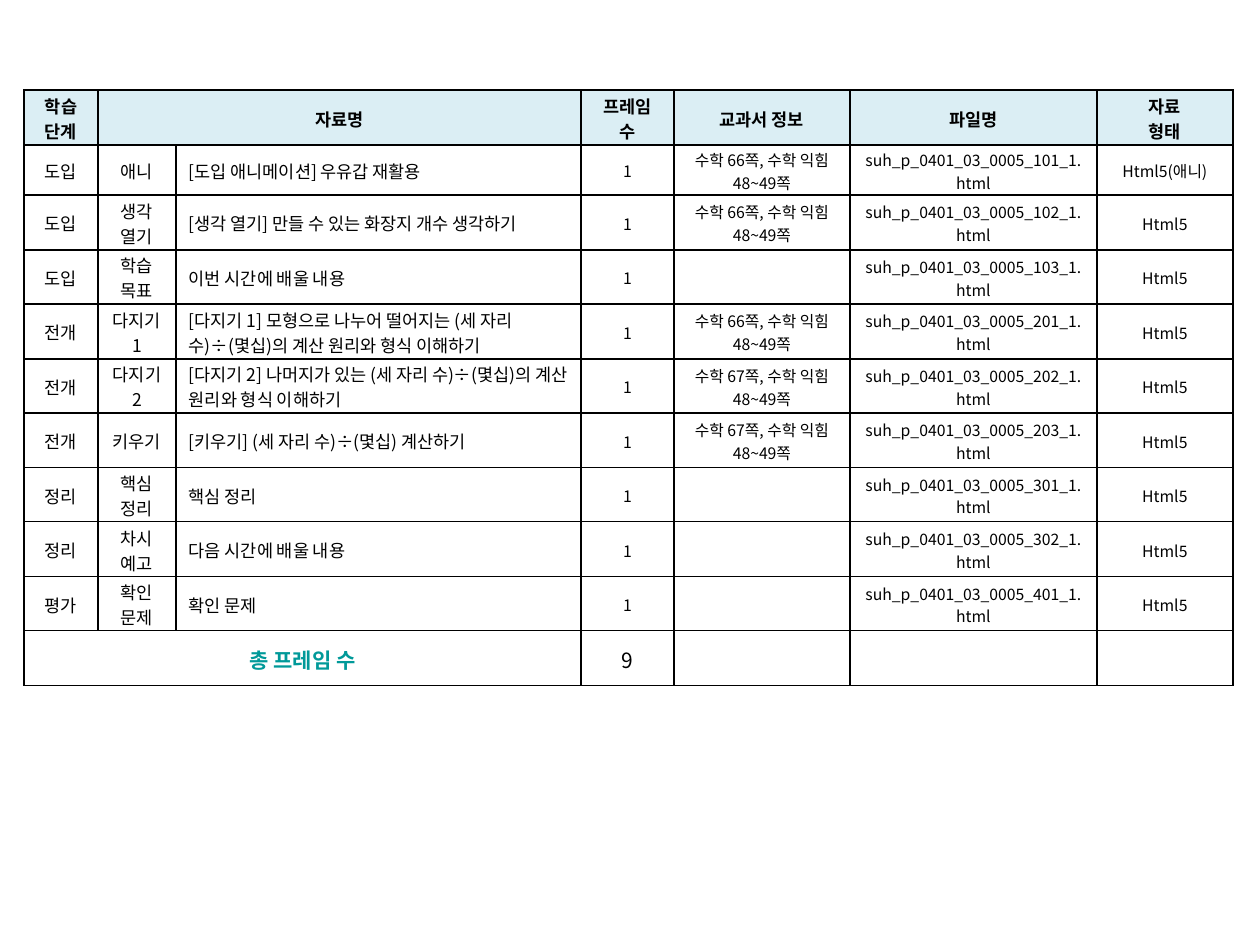
from typing import NamedTuple

from lxml.etree import SubElement
from pptx import Presentation
from pptx.dml.color import RGBColor
from pptx.enum.text import MSO_ANCHOR, PP_ALIGN
from pptx.oxml.ns import qn
from pptx.util import Pt

PX = 914400 // 126
FONT = "Noto Sans CJK KR"
BLACK, TEAL, PALE = "000000", "009999", "DBEEF4"
COLS = [74, 78, 405, 93, 176, 247, 136]
PADS = {"margin_left": 13, "margin_right": 13, "margin_top": 2, "margin_bottom": 0}


class Style(NamedTuple):
    size: int
    bold: bool = False
    ink: str = BLACK
    fill: str = ""
    align: PP_ALIGN = PP_ALIGN.CENTER


class Lesson(NamedTuple):
    step: str
    topic: str
    title: str
    pages: str
    number: str
    kind: str = "Html5"


HEAD = Style(10, bold=True, fill=PALE)
BODY, SMALL = Style(10), Style(9)
LEFT = Style(10, align=PP_ALIGN.LEFT)
TOTAL, COUNT = Style(12, bold=True, ink=TEAL), Style(12)

P66 = "수학 66쪽, 수학 익힘 48~49쪽"
P67 = "수학 67쪽, 수학 익힘 48~49쪽"
HEADS = ["학습 단계", "자료명", "", "프레임 수", "교과서 정보", "파일명", "자료\n형태"]
LESSONS = [
    Lesson("도입", "애니", "[도입 애니메이션] 우유갑 재활용", P66, "101", "Html5(애니)"),
    Lesson("도입", "생각 열기", "[생각 열기] 만들 수 있는 화장지 개수 생각하기", P66, "102"),
    Lesson("도입", "학습 목표", "이번 시간에 배울 내용", "", "103"),
    Lesson("전개", "다지기1",
           "[다지기 1] 모형으로 나누어 떨어지는 (세 자리 수)÷(몇십)의 계산 원리와 형식 이해하기",
           P66, "201"),
    Lesson("전개", "다지기 2",
           "[다지기 2] 나머지가 있는 (세 자리 수)÷(몇십)의 계산 원리와 형식 이해하기",
           P67, "202"),
    Lesson("전개", "키우기", "[키우기] (세 자리 수)÷(몇십) 계산하기", P67, "203"),
    Lesson("정리", "핵심 정리", "핵심 정리", "", "301"),
    Lesson("정리", "차시 예고", "다음 시간에 배울 내용", "", "302"),
    Lesson("평가", "확인 문제", "확인 문제", "", "401"),
]


def color(code: str) -> RGBColor:
    return RGBColor.from_string(code)


def border(cell) -> None:
    props = cell._tc.get_or_add_tcPr()
    for side in ("lnL", "lnR", "lnT", "lnB"):
        line = SubElement(props, qn(f"a:{side}"), w=str(Pt(1)))
        fill = SubElement(line, qn("a:solidFill"))
        SubElement(fill, qn("a:srgbClr"), val=BLACK)


def write(cell, text: str, style: Style) -> None:
    border(cell)
    for key, pad in PADS.items():
        setattr(cell, key, pad * PX)
    cell.vertical_anchor = MSO_ANCHOR.MIDDLE
    if style.fill:
        cell.fill.solid()
        cell.fill.fore_color.rgb = color(style.fill)
    else:
        cell.fill.background()
    cell.text = text
    looks = {"size": Pt(style.size), "bold": style.bold, "name": FONT}
    for para in cell.text_frame.paragraphs:
        para.alignment = style.align
        for run in para.runs:
            for key, value in looks.items():
                setattr(run.font, key, value)
            run.font.color.rgb = color(style.ink)
            SubElement(run._r.get_or_add_rPr(), qn("a:ea"), typeface=FONT)
        # Keep empty cells from stretching their row
        if not para.runs:
            SubElement(para._p, qn("a:endParaRPr"), sz=str(style.size * 100))


def fill_row(table, row: int, texts: list[str], styles: list[Style]) -> None:
    for col, (text, style) in enumerate(zip(texts, styles)):
        write(table.cell(row, col), text, style)


def main() -> None:
    deck = Presentation()
    deck.slide_width, deck.slide_height = 1260 * PX, 945 * PX
    slide = deck.slides.add_slide(deck.slide_layouts[6])

    # Table grid: the first lesson row is a little lower than the rest
    last = len(LESSONS) + 1
    highs = [50 if row == 1 else 55 - row % 2 for row in range(last + 1)]
    table = slide.shapes.add_table(
        last + 1, len(COLS), 24 * PX, 90 * PX, sum(COLS) * PX, sum(highs) * PX
    ).table
    table.first_row = table.horz_banding = False
    for col, wide in zip(table.columns, COLS):
        col.width = wide * PX
    for row, high in zip(table.rows, highs):
        row.height = high * PX

    # Heading, lessons and total
    fill_row(table, 0, HEADS, [HEAD] * len(COLS))
    for row, item in enumerate(LESSONS, 1):
        page = f"suh_p_0401_03_0005_{item.number}_1.html"
        texts = [item.step, item.topic, item.title, "1", item.pages, page, item.kind]
        fill_row(table, row, texts, [BODY, BODY, LEFT] + [SMALL] * 4)
    texts = ["총 프레임 수", "", "", str(len(LESSONS)), "", "", ""]
    fill_row(table, last, texts, [TOTAL] * 3 + [COUNT] * 4)

    # Joined cells
    table.cell(0, 1).merge(table.cell(0, 2))
    table.cell(last, 0).merge(table.cell(last, 2))
    deck.save("out.pptx")


if __name__ == "__main__":
    main()
